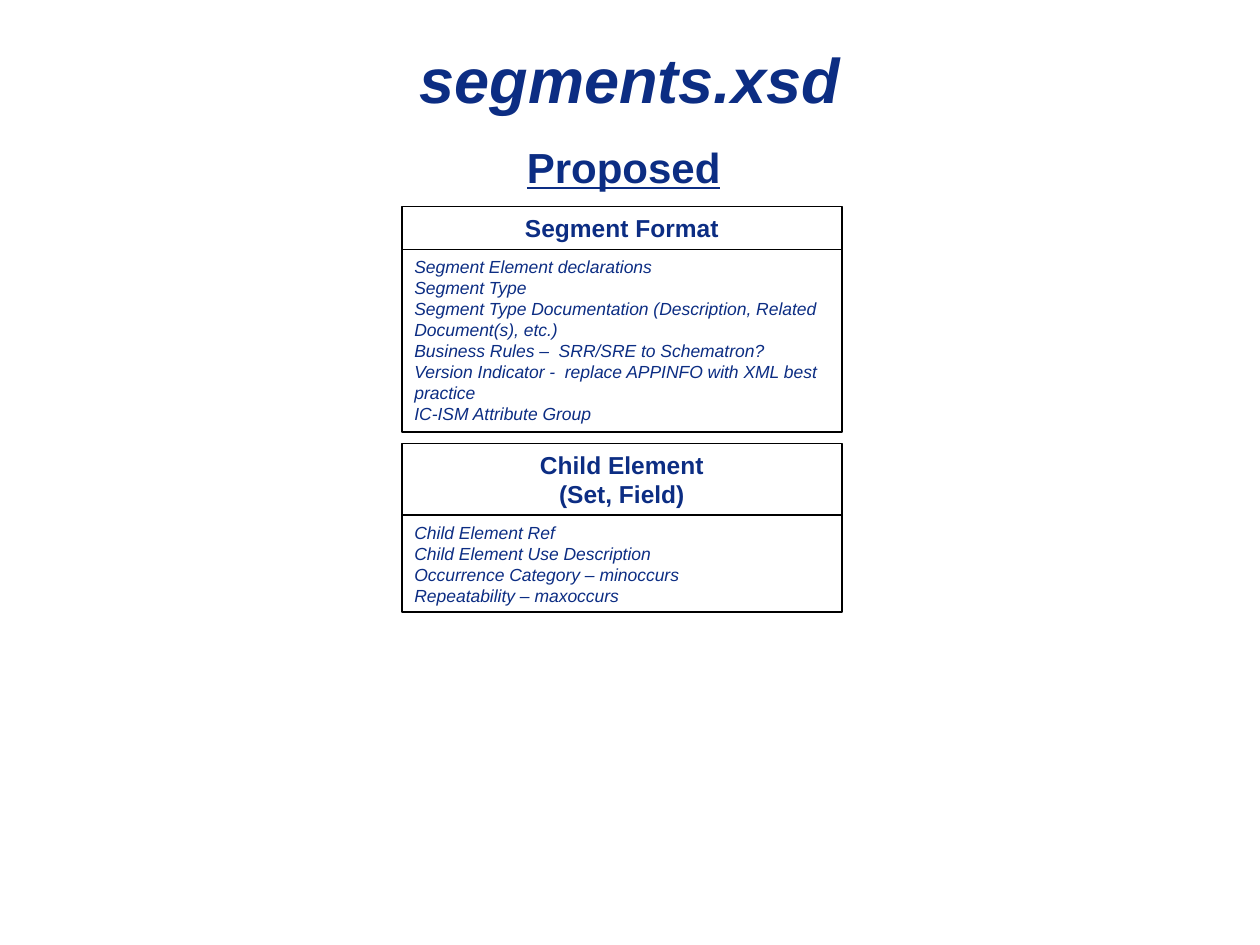
from dataclasses import dataclass

from lxml.etree import SubElement
from pptx import Presentation
from pptx.dml.color import RGBColor
from pptx.enum.shapes import MSO_SHAPE
from pptx.enum.text import MSO_ANCHOR, MSO_AUTO_SIZE, PP_ALIGN
from pptx.oxml.ns import qn
from pptx.util import Inches, Pt

TITLE = "segments.xsd"
SUBTITLE = "Proposed"
# Each card: top, heading height, detail height, heading lines, detail lines
CARDS = [
    (1.64, 0.34, 1.45, ["Segment Format"], [
        "Segment Element declarations",
        "Segment Type",
        "Segment Type Documentation (Description, Related Document(s), etc.)",
        "Business Rules –  SRR/SRE to Schematron?",
        "Version Indicator -  replace APPINFO with XML best practice",
        "IC-ISM Attribute Group",
    ]),
    (3.52, 0.57, 0.77, ["Child Element", "(Set, Field)"], [
        "Child Element Ref",
        "Child Element Use Description",
        "Occurrence Category – minoccurs",
        "Repeatability – maxoccurs",
    ]),
]
CARD_LEFT, CARD_WIDTH = 3.19, 3.49


@dataclass(frozen=True)
class Theme:
    """Colours and text formats of the slide."""
    font = "Arial"
    ink = RGBColor(0x0C, 0x2D, 0x83)
    border = RGBColor(0, 0, 0)
    border_width = Pt(1)
    title = dict(size=Pt(36), bold=True, italic=True)
    subtitle = dict(size=Pt(24), bold=True, underline=True)
    heading = dict(size=Pt(14), bold=True)
    detail = dict(size=Pt(10), italic=True)


def write(tf, lines, style, align):
    """Fill a text frame with one formatted paragraph per line."""
    tf.word_wrap = True
    for i, line in enumerate(lines):
        p = tf.add_paragraph() if i else tf.paragraphs[0]
        p.alignment = align
        r = p.add_run()
        r.text = line
        r.font.color.rgb = Theme.ink
        for name, value in {"name": Theme.font, **style}.items():
            setattr(r.font, name, value)


def fill_placeholder(sp, box, text, style):
    """Move a placeholder and write one centred line without a bullet."""
    for name, value in zip(("left", "top", "width", "height"), box):
        setattr(sp, name, Inches(value))
    tf = sp.text_frame
    tf.vertical_anchor = MSO_ANCHOR.MIDDLE
    write(tf, [text], style, PP_ALIGN.CENTER)
    pPr = tf.paragraphs[0]._p.get_or_add_pPr()
    pPr.set("marL", "0")
    pPr.set("indent", "0")
    SubElement(pPr, qn("a:buNone"))


def add_box(group, top, height, lines, style, align):
    """Add an outlined box with text to a card."""
    sp = group.shapes.add_shape(MSO_SHAPE.RECTANGLE, Inches(CARD_LEFT), Inches(top),
                                Inches(CARD_WIDTH), Inches(height))
    sp.shadow.inherit = False
    sp.fill.background()
    sp.line.color.rgb = Theme.border
    sp.line.width = Theme.border_width
    tf = sp.text_frame
    tf.vertical_anchor = MSO_ANCHOR.TOP
    write(tf, lines, style, align)
    tf.auto_size = MSO_AUTO_SIZE.SHAPE_TO_FIT_TEXT


def add_card(slide, top, heading_height, detail_height, heading, details):
    """Group a heading box with the detail box below it."""
    group = slide.shapes.add_group_shape()
    add_box(group, top, heading_height, heading, Theme.heading, PP_ALIGN.CENTER)
    add_box(group, top + heading_height, detail_height, details, Theme.detail, PP_ALIGN.LEFT)


prs = Presentation()
prs.slide_width, prs.slide_height = Inches(10), Inches(7.5)
s = prs.slides.add_slide(prs.slide_layouts[1])
fill_placeholder(s.shapes.title, (0.5, 0.07, 9, 1.1), TITLE, Theme.title)
fill_placeholder(s.placeholders[1], (2.74, 0.97, 4.42, 0.7), SUBTITLE, Theme.subtitle)
for card in CARDS:
    add_card(s, *card)
prs.save("out.pptx")
